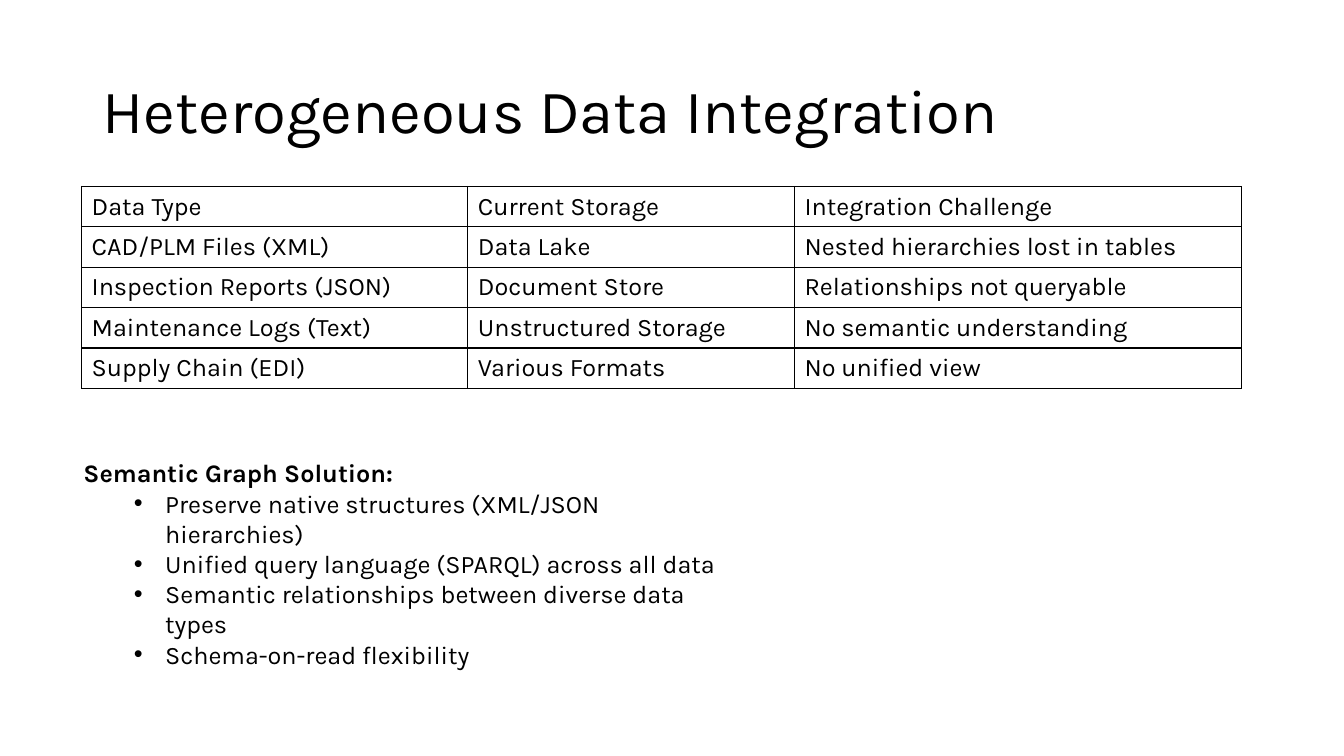
from lxml import etree
from pptx import Presentation
from pptx.dml.color import RGBColor
from pptx.enum.text import MSO_ANCHOR
from pptx.oxml.ns import qn
from pptx.util import Inches, Pt

MIDDLE = MSO_ANCHOR.MIDDLE
TOP = MSO_ANCHOR.TOP
BLACK = RGBColor(0x00, 0x00, 0x00)
WHITE = RGBColor(0xFF, 0xFF, 0xFF)
FONT = "Karla"
BODY_SIZE = 18
TITLE_SIZE = 44
ROW_HEIGHT = 0.39
COLUMN_WIDTHS = (3.83, 3.24, 4.43)

TITLE = "Heterogeneous Data Integration"
STORAGE_ROWS = (
    ("Data Type", "Current Storage", "Integration Challenge"),
    ("CAD/PLM Files (XML)", "Data Lake", "Nested hierarchies lost in tables"),
    ("Inspection Reports (JSON)", "Document Store", "Relationships not queryable"),
    ("Maintenance Logs (Text)", "Unstructured Storage", "No semantic understanding"),
    ("Supply Chain (EDI)", "Various Formats", "No unified view"),
)
SOLUTION_HEADING = "Semantic Graph Solution:"
SOLUTION_POINTS = (
    "Preserve native structures (XML/JSON hierarchies)",
    "Unified query language (SPARQL) across all data",
    "Semantic relationships between diverse data types",
    "Schema-on-read flexibility",
)


def add_span(para, text, size=BODY_SIZE, bold=False):
    """Add one styled run to a paragraph."""
    span = para.add_run()
    span.text = text
    span.font.name = FONT
    span.font.size = Pt(size)
    span.font.bold = bold
    span.font.color.rgb = BLACK


def add_text_frame(page, box, anchor):
    """Add a wrapping text box and return its text frame."""
    frame = page.shapes.add_textbox(*map(Inches, box)).text_frame
    frame.word_wrap = True
    frame.vertical_anchor = anchor
    return frame


def add_bullet(para):
    """Give a paragraph a hanging round bullet."""
    para.level = 1
    properties = para._p.get_or_add_pPr()
    properties.set("marL", str(Inches(0.81)))
    properties.set("indent", str(Inches(-0.31)))
    etree.SubElement(properties, qn("a:buFont"), typeface="Arial")
    etree.SubElement(properties, qn("a:buChar"), char="•")


def add_borders(cell):
    """Draw a thin black line on all four sides of a cell."""
    properties = cell._tc.get_or_add_tcPr()
    for side in ("lnL", "lnR", "lnT", "lnB"):
        line = etree.SubElement(properties, qn(f"a:{side}"), w=str(Pt(1)))
        fill = etree.SubElement(line, qn("a:solidFill"))
        etree.SubElement(fill, qn("a:srgbClr"), val=str(BLACK))


def add_title(page, box):
    """Place the slide title in its box."""
    para = add_text_frame(page, box, MIDDLE).paragraphs[0]
    para.line_spacing = 0.9
    add_span(para, TITLE, TITLE_SIZE)


def add_storage_table(page, left, top):
    """Place the table of data types from its top left corner."""
    box = (left, top, sum(COLUMN_WIDTHS), ROW_HEIGHT * len(STORAGE_ROWS))
    table = page.shapes.add_table(
        len(STORAGE_ROWS), len(COLUMN_WIDTHS), *map(Inches, box)
    ).table
    table.first_row = False
    table.horz_banding = False
    for column, width in zip(table.columns, COLUMN_WIDTHS):
        column.width = Inches(width)
    for row, texts in zip(table.rows, STORAGE_ROWS):
        row.height = Inches(ROW_HEIGHT)
        for cell, text in zip(row.cells, texts):
            cell.vertical_anchor = MIDDLE
            add_borders(cell)
            cell.fill.background()
            add_span(cell.text_frame.paragraphs[0], text)


def add_solution(page, box):
    """Place the heading and bullet points of the solution."""
    frame = add_text_frame(page, box, TOP)
    add_span(frame.paragraphs[0], SOLUTION_HEADING, bold=True)
    for point in SOLUTION_POINTS:
        para = frame.add_paragraph()
        add_bullet(para)
        add_span(para, point)


def main():
    """Build the slide and save the deck."""
    deck = Presentation()
    deck.slide_width = Inches(13.33)
    deck.slide_height = Inches(7.5)
    page = deck.slides.add_slide(deck.slide_layouts[6])
    page.background.fill.solid()
    page.background.fill.fore_color.rgb = WHITE
    add_title(page, (0.92, 0.4, 11.5, 1.45))
    add_storage_table(page, 0.81, 1.85)
    add_solution(page, (0.73, 4.49, 6.67, 1.62))
    deck.save("out.pptx")


if __name__ == "__main__":
    main()
